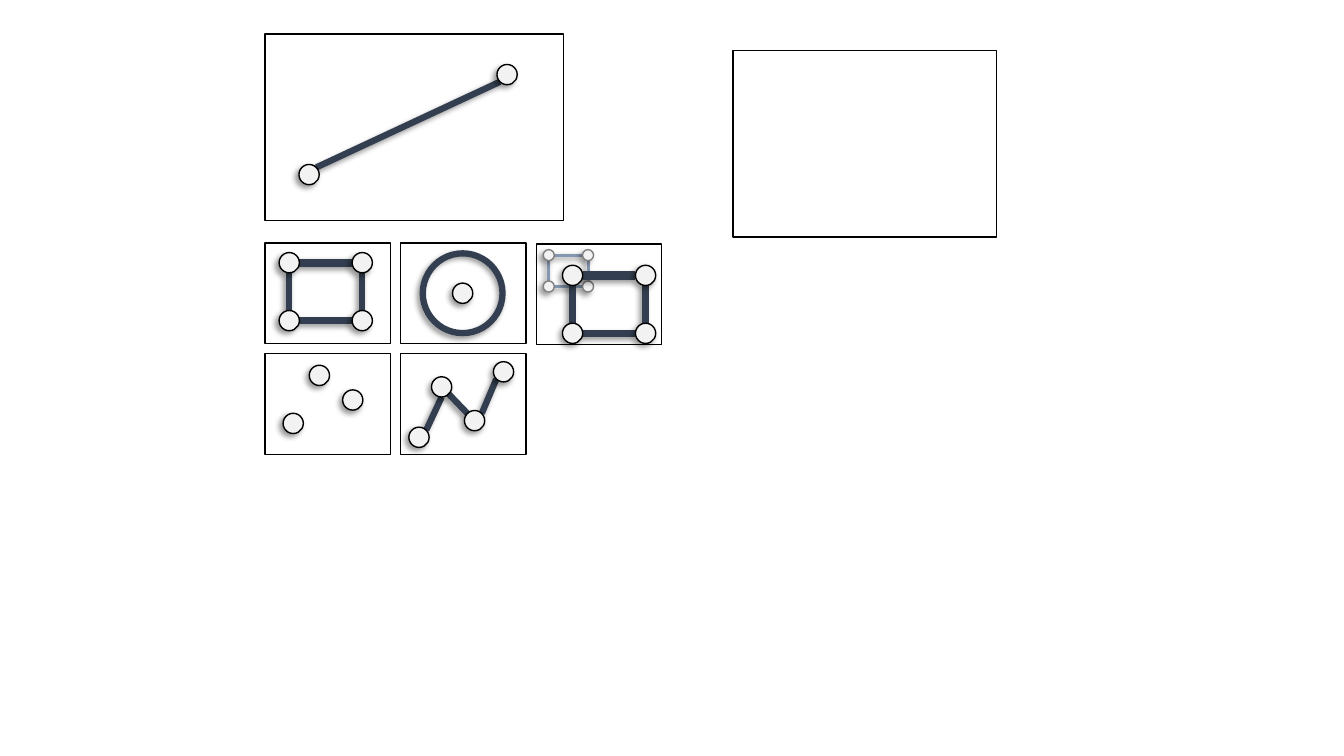
from lxml import etree
from pptx import Presentation
from pptx.dml.color import RGBColor
from pptx.enum.shapes import MSO_CONNECTOR, MSO_SHAPE
from pptx.oxml.ns import qn
from pptx.util import Cm, Pt

STRAIGHT = MSO_CONNECTOR.STRAIGHT
RECTANGLE, OVAL = MSO_SHAPE.RECTANGLE, MSO_SHAPE.OVAL
INK, SLATE, PALE_SLATE = "000000", "333F50", "8497B0"
NODE_FILL, PALE_INK = "F2F2F2", "808080"
NODE_SIZE, PALE_NODE_SIZE = 0.51, 0.28
TILE_WIDTH, TILE_HEIGHT = 3.16, 2.54
GRID_LEFT, GRID_TOP = 6.68, 6.12
COLUMN_STEP, ROW_STEP = 3.42, 2.79
DIAGONAL = 0.71
N, E, S, W = (0, -1), (1, 0), (0, 1), (-1, 0)
NE, SE = (DIAGONAL, -DIAGONAL), (DIAGONAL, DIAGONAL)
NW, SW = (-DIAGONAL, -DIAGONAL), (-DIAGONAL, DIAGONAL)


def color(hex_code):
    """Turn a hex string into a colour."""
    return RGBColor.from_string(hex_code)


def style_line(line, hex_code, points):
    """Set the colour and width of a line."""
    line.color.rgb = color(hex_code)
    line.width = Pt(points)


def cast_shadow(element):
    """Give an element a soft shadow falling to the lower left."""
    properties = element._element.spPr
    for old in properties.findall(qn("a:effectLst")):
        properties.remove(old)
    effects = etree.SubElement(properties, qn("a:effectLst"))
    shadow = etree.SubElement(effects, qn("a:outerShdw"), blurRad=str(Pt(4)),
                              dist=str(Pt(3)), dir="8100000", algn="tr", rotWithShape="0")
    tint = etree.SubElement(shadow, qn("a:srgbClr"), val=INK)
    etree.SubElement(tint, qn("a:alpha"), val="40000")


def add_frame(shapes, left, top, width=TILE_WIDTH, height=TILE_HEIGHT):
    """Draw an empty outlined panel."""
    frame = shapes.add_shape(RECTANGLE, Cm(left), Cm(top), Cm(width), Cm(height))
    frame.shadow.inherit = False
    frame.fill.background()
    style_line(frame.line, INK, 1)


def add_disc(shapes, center, size, fill, outline, points):
    """Draw a shadowed circle around a centre, hollow if fill is None."""
    x, y = center
    disc = shapes.add_shape(OVAL, Cm(x - size / 2), Cm(y - size / 2), Cm(size), Cm(size))
    if fill:
        disc.fill.solid()
        disc.fill.fore_color.rgb = color(fill)
    else:
        disc.fill.background()
    style_line(disc.line, outline, points)
    cast_shadow(disc)


def add_nodes(shapes, centers, size=NODE_SIZE, outline=INK):
    """Draw a handle at each centre."""
    for center in centers:
        add_disc(shapes, center, size, NODE_FILL, outline, 1)


def add_link(shapes, start, start_side, end, end_side,
             size=NODE_SIZE, stroke=SLATE, points=4.5):
    """Join two handles from rim to rim at the given sides."""
    ends = [Cm(place + side * size / 2)
            for center, sides in ((start, start_side), (end, end_side))
            for place, side in zip(center, sides)]
    link = shapes.add_connector(STRAIGHT, *ends)
    style_line(link.line, stroke, points)
    cast_shadow(link)


def add_box(shapes, left, top, width, height, size=NODE_SIZE,
            stroke=SLATE, outline=INK, top_points=6, side_points=4.5):
    """Draw a grouped rectangle with a handle on each corner."""
    box = shapes.add_group_shape().shapes
    right, bottom = left + width, top + height
    corners = [(left, top), (right, top), (right, bottom), (left, bottom)]
    sides = [(E, W, top_points), (S, N, side_points), (W, E, side_points), (N, S, side_points)]
    for index, (start_side, end_side, points) in enumerate(sides):
        add_link(box, corners[index], start_side, corners[(index + 1) % 4], end_side,
                 size, stroke, points)
    add_nodes(box, corners, size, outline)


def add_path(shapes, centers, sides):
    """Draw linked handles, with one pair of sides per link."""
    for start, end, (start_side, end_side) in zip(centers, centers[1:], sides):
        add_link(shapes, start, start_side, end, end_side)
    add_nodes(shapes, centers)


def main():
    """Build the slide of drawing tool icons."""
    deck = Presentation()
    deck.slide_width, deck.slide_height = Cm(33.87), Cm(19.05)
    shapes = deck.slides.add_slide(deck.slide_layouts[6]).shapes

    add_path(shapes, [(7.79, 4.4), (12.78, 1.88)], [(NE, SW)])
    add_box(shapes, 7.29, 6.62, 1.84, 1.46)
    add_path(shapes, [(10.56, 11.02), (11.13, 9.75), (11.96, 10.6), (12.69, 9.37)],
             [(NE, S), (SE, NW), (NE, SW)])
    circle_center = (11.66, 7.39)
    add_nodes(shapes, [circle_center])
    add_disc(shapes, circle_center, 2.01, None, SLATE, 4.5)
    add_nodes(shapes, [(7.39, 10.67), (8.05, 9.46), (8.89, 10.08)])

    add_frame(shapes, GRID_LEFT, 0.86, 7.52, 4.7)
    add_frame(shapes, 18.47, 1.27, 6.65, 4.7)
    for row in range(2):
        for column in range(2):
            add_frame(shapes, GRID_LEFT + column * COLUMN_STEP, GRID_TOP + row * ROW_STEP)
    add_frame(shapes, GRID_LEFT + 2 * COLUMN_STEP, GRID_TOP + 0.03)

    add_box(shapes, 13.83, 6.43, 0.99, 0.79, PALE_NODE_SIZE, PALE_SLATE, PALE_INK, 2.25, 2.25)
    add_box(shapes, 14.43, 6.94, 1.84, 1.46)
    deck.save("out.pptx")


main()
